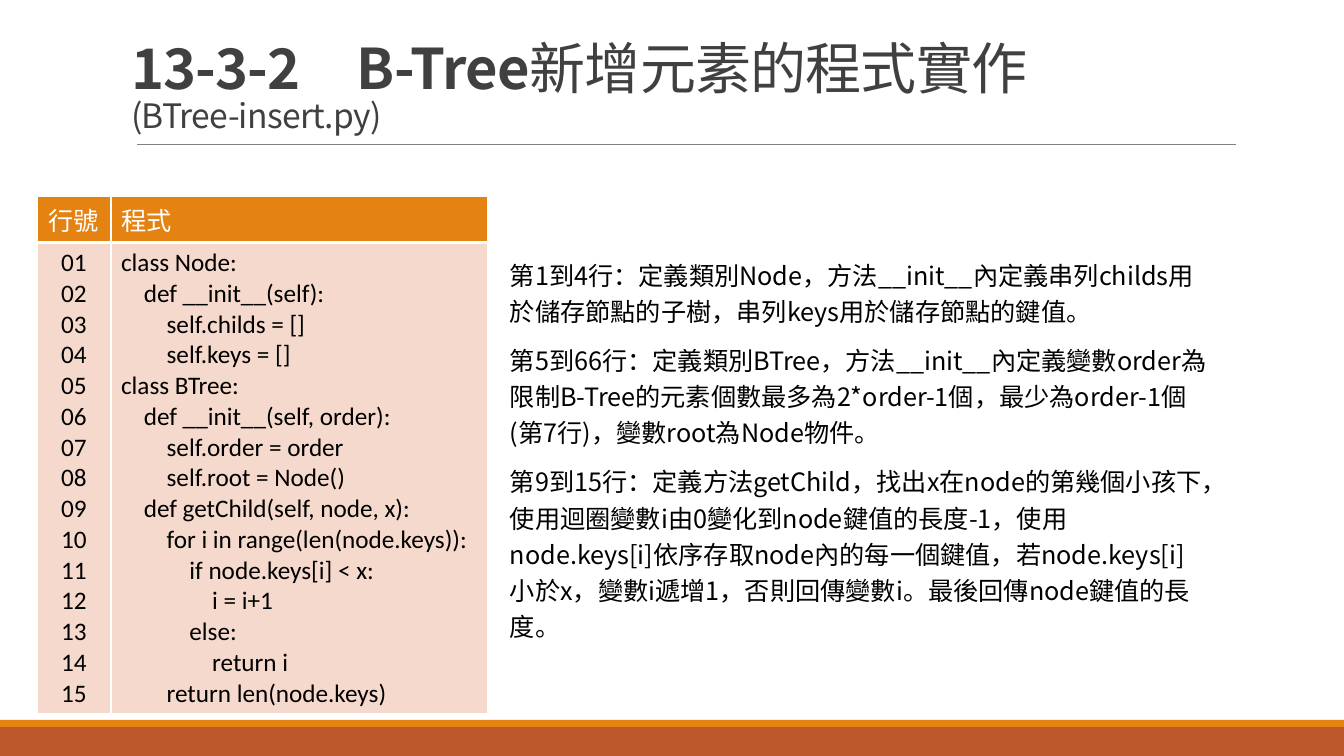
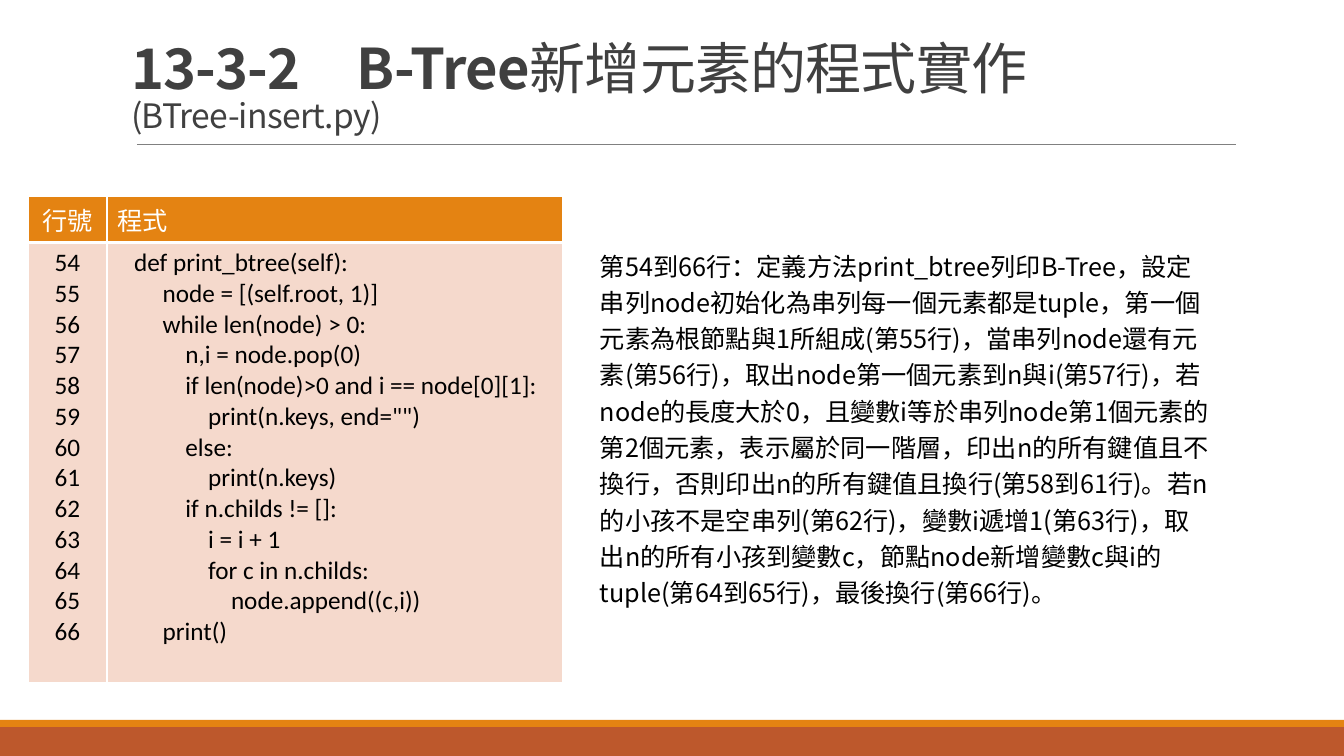
from dataclasses import dataclass

from lxml.etree import SubElement
from pptx import Presentation
from pptx.dml.color import RGBColor
from pptx.enum.shapes import MSO_CONNECTOR as Connector, MSO_SHAPE as Shape
from pptx.enum.text import MSO_ANCHOR as Anchor, MSO_AUTO_SIZE as AutoSize, PP_ALIGN as Align
from pptx.oxml.ns import qn
from pptx.util import Pt

# Shared look
EMU_PER_INCH, PX_PER_INCH = 914400, 100.8
CJK_FONT, CODE_FONT = "Noto Sans CJK SC", "Calibri"
ORANGE, RUST, PINK = "E48312", "BD582C", "F5D9CC"
GREY, TITLE_GREY, BLACK, WHITE = "808080", "404040", "000000", "FFFFFF"
SPACE_WIDTH = 4.07  # points, one space of code at 18 pt
TABLE_TOP, HEADER_HEIGHT = 196, 46


@dataclass
class Band:
    top: int
    height: int
    color: str


@dataclass
class CodePage:
    table_left: int
    columns: tuple[int, int]
    body_height: int
    first_line: int
    code: str
    explanation_area: tuple[int, int, int, int]
    explanation: list[str]


BANDS = [Band(727, 29, RUST), Band(720, 7, ORANGE)]

# Slide content
PAGES = [
    CodePage(
        37, (74, 377), 471, 1,
        """class Node:
    def __init__(self):
        self.childs = []
        self.keys = []
class BTree:
    def __init__(self, order):
        self.order = order
        self.root = Node()
    def getChild(self, node, x):
        for i in range(len(node.keys)):
            if node.keys[i] < x:
                i = i+1
            else:
                return i
        return len(node.keys)""",
        (500, 249, 718, 402),
        [
            "第1到4行：定義類別Node，方法__init__內定義串列childs用於儲存節點的子樹，"
            "串列keys用於儲存節點的鍵值。",
            "第5到66行：定義類別BTree，方法__init__內定義變數order為限制B-Tree的元素個數"
            "最多為2*order-1個，最少為order-1個(第7行)，變數root為Node物件。",
            "第9到15行：定義方法getChild，找出x在node的第幾個小孩下，使用迴圈變數i由0變化到"
            "node鍵值的長度-1，使用node.keys[i]依序存取node內的每一個鍵值，若node.keys[i]"
            "小於x，變數i遞增1，否則回傳變數i。最後回傳node鍵值的長度。",
        ],
    ),
    CodePage(
        28, (79, 456), 440, 54,
        """   def print_btree(self):
        node = [(self.root, 1)]
        while len(node) > 0:
            n,i = node.pop(0)
            if len(node)>0 and i == node[0][1]:
                print(n.keys, end="")
            else:
                print(n.keys)
            if n.childs != []:
                i = i + 1
                for c in n.childs:
                    node.append((c,i))
        print()""",
        (590, 240, 631, 422),
        [
            "第54到66行：定義方法print_btree列印B-Tree，設定串列node初始化為串列每一個元素"
            "都是tuple，第一個元素為根節點與1所組成(第55行)，當串列node還有元素(第56行)，"
            "取出node第一個元素到n與i(第57行)，若node的長度大於0，且變數i等於串列node"
            "第1個元素的第2個元素，表示屬於同一階層，印出n的所有鍵值且不換行，"
            "否則印出n的所有鍵值且換行(第58到61行)。若n的小孩不是空串列(第62行)，"
            "變數i遞增1(第63行)，取出n的所有小孩到變數c，節點node新增變數c與i的tuple"
            "(第64到65行)，最後換行(第66行)。",
        ],
    ),
]


def px(length: int) -> int:
    return round(length * EMU_PER_INCH / PX_PER_INCH)


def rgb(color: str) -> RGBColor:
    return RGBColor.from_string(color)


def add_text(para, text: str, *, size=18, font=CJK_FONT, color=BLACK, bold=False, spacing=0.0):
    span = para.add_run()
    span.text = text
    span.font.size, span.font.name, span.font.bold = Pt(size), font, bold
    span.font.color.rgb = rgb(color)
    props = span._r.get_or_add_rPr()
    if spacing:
        props.set("spc", str(round(spacing * 100)))
    SubElement(props, qn("a:ea")).set("typeface", CJK_FONT)


def write_lines(frame, lines: list[str], *, align=Align.LEFT, **style) -> None:
    """One paragraph a line; leading spaces become an indent."""
    for number, line in enumerate(lines):
        para = frame.add_paragraph() if number else frame.paragraphs[0]
        para.alignment = align
        text = line.lstrip()
        if text != line:
            indent = Pt((len(line) - len(text)) * SPACE_WIDTH)
            para._p.get_or_add_pPr().set("marL", str(int(indent)))
        add_text(para, text, **style)


def add_frame(layout, page) -> None:
    """Draw the bands and title rule and hand them to the layout."""
    shapes = []
    for band in BANDS:
        bar = page.shapes.add_shape(Shape.RECTANGLE, 0, px(band.top), px(1344), px(band.height))
        bar.shadow.inherit = False
        bar.fill.solid()
        bar.fill.fore_color.rgb = rgb(band.color)
        bar.line.fill.background()
        shapes.append(bar)
    rule = page.shapes.add_connector(Connector.STRAIGHT, px(137), px(144), px(1236), px(144))
    rule.line.color.rgb = rgb(GREY)
    rule.line.width = Pt(0.5)
    SubElement(rule.element.spPr, qn("a:effectLst"))
    for shape in shapes + [rule]:
        layout.shapes.element.append(shape.element)


def add_title(page) -> None:
    title = page.shapes.title
    title.left, title.top, title.width, title.height = map(px, (121, 31, 1109, 109))
    frame = title.text_frame
    frame.auto_size, frame.vertical_anchor = AutoSize.NONE, Anchor.BOTTOM
    para = frame.paragraphs[0]
    para.alignment, para.line_spacing = Align.LEFT, 0.85
    style = dict(color=TITLE_GREY, spacing=-0.5)
    add_text(para, "13-3-2　B-Tree", size=40, bold=True, **style)
    add_text(para, "新增元素的程式實作", size=40, **style)
    para.add_line_break()
    SubElement(para._p[-1], qn("a:rPr")).set("sz", "4000")
    add_text(para, "(BTree-insert.py)", size=24, **style)


def style_cell(cell, color: str, bottom_width: int) -> None:
    props = cell._tc.get_or_add_tcPr()
    for side, width in (("L", 1), ("R", 1), ("T", 1), ("B", bottom_width)):
        border = SubElement(props, qn(f"a:ln{side}"))
        border.set("w", str(int(Pt(width))))
        fill = SubElement(border, qn("a:solidFill"))
        SubElement(fill, qn("a:srgbClr")).set("val", WHITE)
    cell.fill.solid()
    cell.fill.fore_color.rgb = rgb(color)


def add_code_table(page, content: CodePage) -> None:
    heights = (HEADER_HEIGHT, content.body_height)
    table = page.shapes.add_table(
        2, 2, px(content.table_left), px(TABLE_TOP), px(sum(content.columns)), px(sum(heights))
    ).table
    for column, width in zip(table.columns, content.columns):
        column.width = px(width)
    for row, height in zip(table.rows, heights):
        row.height = px(height)
    code = content.code.split("\n")
    numbers = [f"{content.first_line + offset:02d}" for offset in range(len(code))]
    for column, (heading, lines, align) in enumerate(
        (("行號", numbers, Align.CENTER), ("程式", code, Align.LEFT))
    ):
        header, body = table.cell(0, column), table.cell(1, column)
        style_cell(header, ORANGE, 3)
        style_cell(body, PINK, 1)
        write_lines(header.text_frame, [heading], align=align, font=CODE_FONT, color=WHITE)
        write_lines(body.text_frame, lines, align=align, font=CODE_FONT)


def add_explanation(page, content: CodePage) -> None:
    box = page.shapes.add_textbox(*map(px, content.explanation_area))
    frame = box.text_frame
    frame.word_wrap = True
    write_lines(frame, content.explanation)
    for para in frame.paragraphs:
        para.line_spacing, para.space_before, para.space_after = 1.2, Pt(6), Pt(3)


def main() -> None:
    deck = Presentation()
    deck.slide_width, deck.slide_height = px(1344), px(756)
    layout = deck.slide_layouts[5]
    for number, content in enumerate(PAGES):
        page = deck.slides.add_slide(layout)
        if number == 0:
            add_frame(layout, page)
        add_title(page)
        add_code_table(page, content)
        add_explanation(page, content)
    deck.save("out.pptx")


if __name__ == "__main__":
    main()
